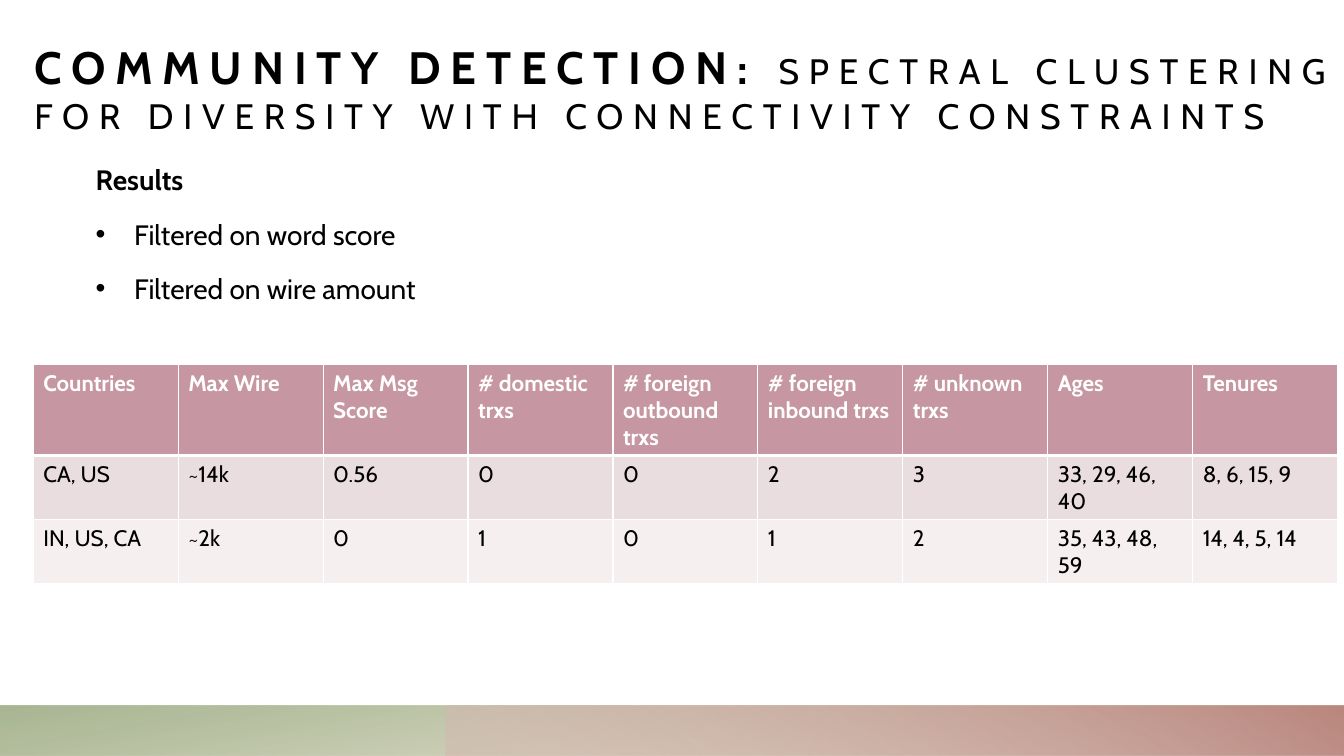
from dataclasses import dataclass

import lxml.etree
import pptx
import pptx.dml.color
import pptx.enum.shapes
import pptx.enum.text
import pptx.oxml
import pptx.oxml.ns
import pptx.util

Inches = pptx.util.Inches
qn = pptx.oxml.ns.qn

FONT = "Cabin"
COLORS = {
    "text": "000000",
    "white": "FFFFFF",
    "header": "C696A2",
    "odd_row": "EADDE0",
    "even_row": "F5EFF0",
    "olive": "A7A672",
    "green": "98A980",
    "blush": "D6B8B2",
    "clay": "BA887F",
}


@dataclass
class Stop:
    percent: int
    color: str
    opacity: int = 100


@dataclass
class Band:
    left: float
    width: float
    rotation: int
    angle: int
    stops: tuple[Stop, Stop]


@dataclass
class TableRow:
    height: float
    fill: str
    texts: list[str]
    color: str = "text"
    bold: bool = False
    top_border: float = 1
    bottom_border: float = 1


BANDS = [
    Band(0, 13.33, 180, 100, (Stop(14, "olive", 28), Stop(100, "green", 85))),
    Band(4.42, 8.92, 0, 240, (Stop(9, "blush", 55), Stop(99, "clay"))),
]

TABLE_ROWS = [
    TableRow(0.87, "header",
             ["Countries", "Max Wire", "Max Msg Score", "# domestic trxs",
              "# foreign outbound trxs", "# foreign inbound trxs",
              "# unknown trxs", "Ages", "Tenures"],
             color="white", bold=True, bottom_border=3),
    TableRow(0.61, "odd_row",
             ["CA, US", "~14k", "0.56", "0", "0", "2", "3",
              "33, 29, 46, 40", "8, 6, 15, 9"], top_border=3),
    TableRow(0.61, "even_row",
             ["IN, US, CA", "~2k", "0", "1", "0", "1", "2",
              "35, 43, 48, 59", "14, 4, 5, 14"]),
]


def rgb(name: str) -> pptx.dml.color.RGBColor:
    return pptx.dml.color.RGBColor.from_string(COLORS[name])


def add_text(paragraph, text: str, *, size: float, color: str = "text",
             bold: bool = False, spacing: float = 0) -> None:
    run = paragraph.add_run()
    run.text = text
    run.font.name = FONT
    run.font.size = pptx.util.Pt(size)
    run.font.bold = bold
    run.font.color.rgb = rgb(color)
    if spacing:
        run.font._element.set("spc", str(round(spacing * 100)))


def add_text_frame(slide, left: float, top: float, width: float, height: float,
                   anchor=pptx.enum.text.MSO_ANCHOR.TOP):
    frame = slide.shapes.add_textbox(
        Inches(left), Inches(top), Inches(width), Inches(height)).text_frame
    frame.word_wrap = True
    frame.vertical_anchor = anchor
    frame.margin_left = frame.margin_right = 0
    frame.margin_top = frame.margin_bottom = 0
    return frame


def add_band(slide, band: Band) -> None:
    shape = slide.shapes.add_shape(
        pptx.enum.shapes.MSO_SHAPE.RECTANGLE,
        Inches(band.left), Inches(7), Inches(band.width), Inches(0.5))
    shape.shadow.inherit = False
    shape.line.fill.background()
    shape.rotation = band.rotation
    shape._element.spPr.find(qn("a:xfrm")).set("flipH", "1")
    shape.fill.gradient()
    shape.fill.gradient_angle = 360 - band.angle
    for gradient_stop, stop in zip(shape.fill.gradient_stops, band.stops):
        gradient_stop.position = stop.percent / 100
        gradient_stop.color.rgb = rgb(stop.color)
    # Opacity of each gradient stop
    stop_colors = shape._element.spPr.iter(qn("a:srgbClr"))
    for color_element, stop in zip(list(stop_colors), band.stops):
        if stop.opacity < 100:
            alpha = lxml.etree.SubElement(color_element, qn("a:alpha"))
            alpha.set("val", str(stop.opacity * 1000))


def make_bullet(paragraph, indent: float) -> None:
    properties = paragraph._p.get_or_add_pPr()
    properties.set("marL", str(Inches(indent)))
    properties.set("indent", str(-Inches(indent)))
    font = lxml.etree.SubElement(properties, qn("a:buFont"))
    font.set("typeface", "Arial")
    lxml.etree.SubElement(properties, qn("a:buChar")).set("char", "•")


def set_borders(cell, row: TableRow) -> None:
    widths = {"L": 1, "R": 1, "T": row.top_border, "B": row.bottom_border}
    properties = cell._tc.get_or_add_tcPr()
    for index, (side, width) in enumerate(widths.items()):
        line = pptx.oxml.parse_xml(
            f'<a:ln{side} {pptx.oxml.ns.nsdecls("a")} w="{pptx.util.Pt(width)}">'
            f'<a:solidFill><a:srgbClr val="{COLORS["white"]}"/></a:solidFill>'
            f'</a:ln{side}>')
        properties.insert(index, line)


def add_results_table(slide, rows: list[TableRow]) -> None:
    table = slide.shapes.add_table(
        len(rows), len(rows[0].texts), Inches(0.33), Inches(3.62),
        Inches(12.94), Inches(sum(row.height for row in rows))).table
    for row_index, row in enumerate(rows):
        table.rows[row_index].height = Inches(row.height)
        for column_index, text in enumerate(row.texts):
            cell = table.cell(row_index, column_index)
            cell.fill.solid()
            cell.fill.fore_color.rgb = rgb(row.fill)
            set_borders(cell, row)
            add_text(cell.text_frame.paragraphs[0], text, size=16,
                     color=row.color, bold=row.bold)


def main() -> None:
    presentation = pptx.Presentation()
    presentation.slide_width = Inches(13.33)
    presentation.slide_height = Inches(7.5)
    slide = presentation.slides.add_slide(presentation.slide_layouts[6])

    # Footer bands
    for band in BANDS:
        add_band(slide, band)

    # Title
    title = add_text_frame(slide, 0.34, 0, 12.99, 1.35,
                           pptx.enum.text.MSO_ANCHOR.BOTTOM).paragraphs[0]
    add_text(title, "COMMUNITY DETECTION: ", size=32.4, bold=True, spacing=7)
    add_text(title, "SPECTRAL CLUSTERING FOR DIVERSITY WITH CONNECTIVITY "
             "CONSTRAINTS", size=25.2, spacing=7)

    # Results heading and bullets
    body = add_text_frame(slide, 0.95, 1.55, 11.2, 3.14)
    lines = ["Results", "Filtered on word score", "Filtered on wire amount"]
    for index, text in enumerate(lines):
        paragraph = body.add_paragraph() if index else body.paragraphs[0]
        paragraph.line_spacing = 1.2
        paragraph.space_before = pptx.util.Pt(10)
        if index:
            make_bullet(paragraph, 0.38)
        add_text(paragraph, text, size=20, bold=index == 0)

    # Results table
    add_results_table(slide, TABLE_ROWS)

    presentation.save("out.pptx")


if __name__ == "__main__":
    main()
